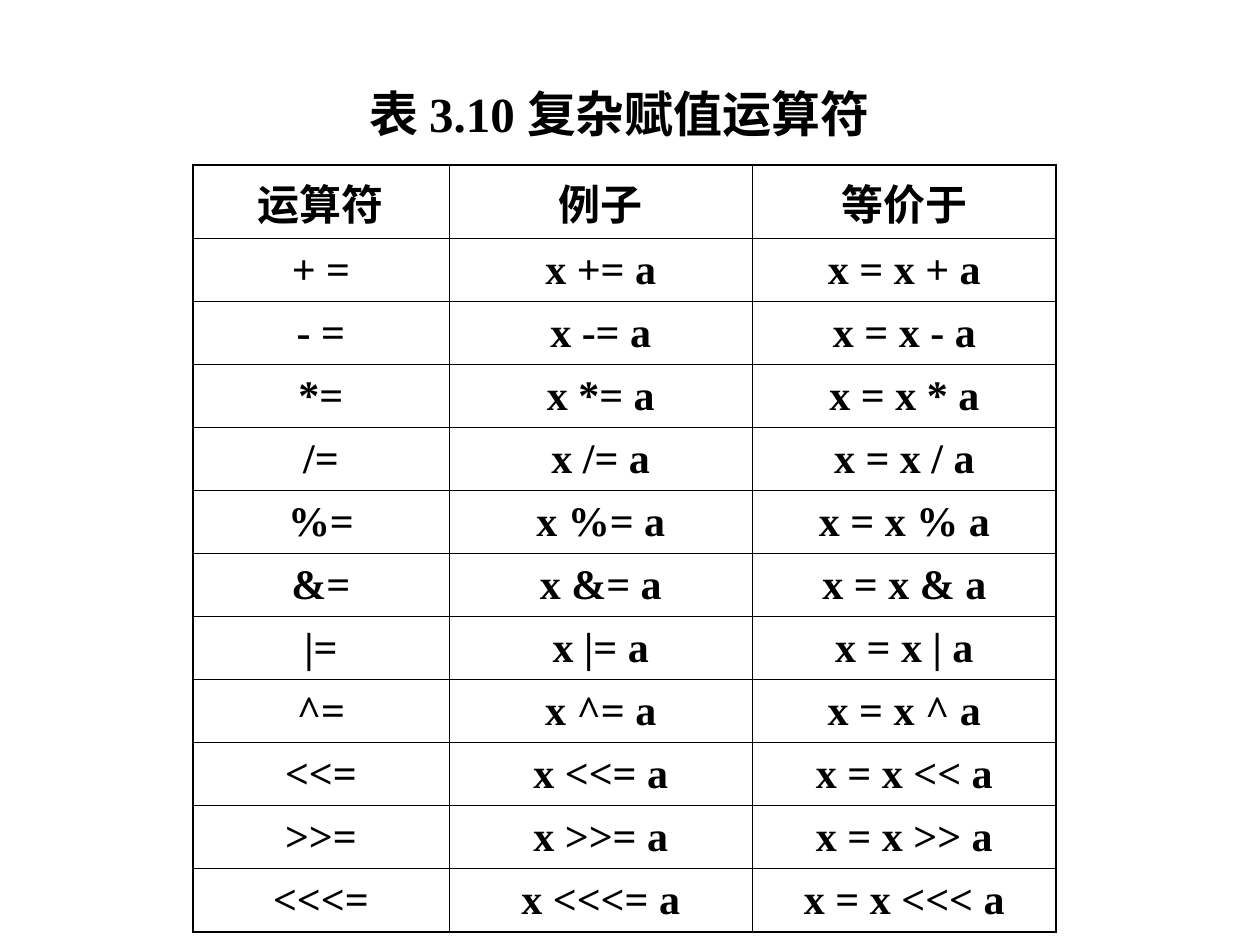
from lxml.etree import SubElement
from pptx import Presentation
from pptx.dml.color import RGBColor
from pptx.enum.text import MSO_ANCHOR, MSO_AUTO_SIZE, PP_ALIGN
from pptx.oxml.ns import qn
from pptx.util import Cm, Pt


def write(tf, text, size, color="000000", spacing=None):
    p = tf.paragraphs[0]
    p.alignment = PP_ALIGN.CENTER
    p.line_spacing = spacing
    r = p.add_run()
    r.text = text
    r.font.name = "Times New Roman"
    r.font.size = Pt(size)
    r.font.bold = True
    r.font.color.rgb = RGBColor.from_string(color)


def border(cell, side, width, color="000000"):
    ln = SubElement(cell._tc.get_or_add_tcPr(), qn(f"a:ln{side}"), w=str(Pt(width)))
    SubElement(SubElement(ln, qn("a:solidFill")), qn("a:srgbClr"), val=color)


prs = Presentation()
prs.slide_width, prs.slide_height = Cm(25.4), Cm(19.05)
s = prs.slides.add_slide(prs.slide_layouts[5])

title = s.shapes.title
title.left, title.top, title.width, title.height = Cm(0.84), Cm(1.7), Cm(23.29), Cm(1.42)
tf = title.text_frame
tf.auto_size = MSO_AUTO_SIZE.NONE
tf.vertical_anchor = MSO_ANCHOR.TOP
write(tf, "表 3.10 复杂赋值运算符", 28, spacing=0.9)

rows = [("运算符", "例子", "等价于")]
for op in ["+", "-", "*", "/", "%", "&", "|", "^", "<<", ">>", "<<<"]:
    name = f"{op} =" if op in "+-" else f"{op}="
    rows.append((name, f"x {op}= a", f"x = x {op} a"))

widths = [Cm(5.16), Cm(6.12), Cm(6.12)]
row_height = Cm(1.27)
outer, header, inner = 1.08, 0.45, 0.34
last_row, last_col = len(rows) - 1, len(widths) - 1

table = s.shapes.add_table(len(rows), len(widths), Cm(3.89), Cm(3.33),
                           sum(widths), row_height * len(rows)).table
table.first_row = False
table.horz_banding = False
for col, width in zip(table.columns, widths):
    col.width = width

for i, texts in enumerate(rows):
    table.rows[i].height = row_height
    rule = header if i == 0 else inner
    for j, text in enumerate(texts):
        cell = table.cell(i, j)
        cell.vertical_anchor = MSO_ANCHOR.MIDDLE
        write(cell.text_frame, text, 24)
        border(cell, "L", outer if j == 0 else rule)
        border(cell, "R", outer if j == last_col else rule)
        border(cell, "T", outer if i == 0 else header if i == 1 else inner)
        border(cell, "B", outer if i == last_row else rule)
        cell.fill.background()

prs.save("out.pptx")
